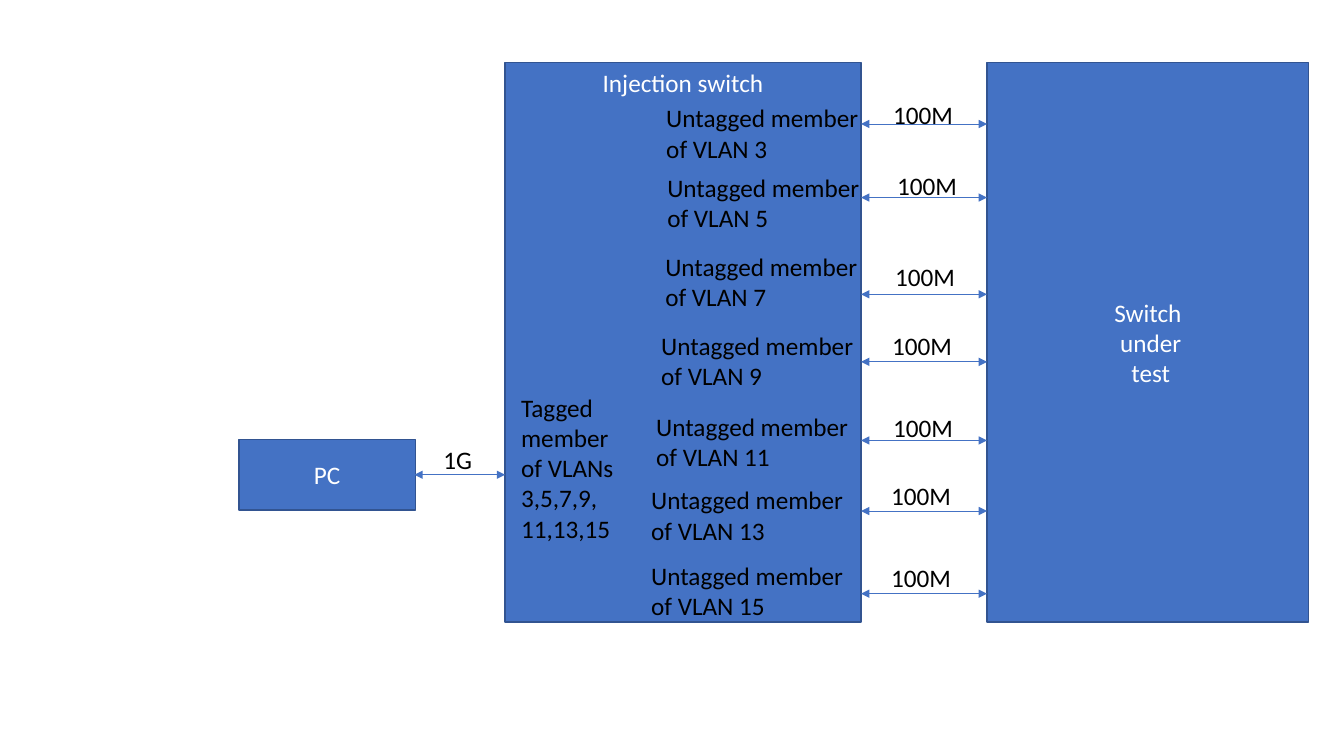
from lxml import etree
from pptx import Presentation
from pptx.dml.color import RGBColor
from pptx.enum.shapes import MSO_CONNECTOR, MSO_SHAPE
from pptx.enum.text import MSO_ANCHOR, MSO_AUTO_SIZE, PP_ALIGN
from pptx.oxml.ns import qn
from pptx.util import Inches, Pt

COLORS = {"fill": "4472C4", "border": "325491", "light": "FFFFFF", "dark": "000000"}
FONT = "Calibri"

# VLAN, member label left and top, link y, speed label left and top
PORTS = [
    (3, 6.51, 0.97, 1.23, 8.76, 0.94),
    (5, 6.52, 1.66, 1.96, 8.8, 1.64),
    (7, 6.5, 2.44, 2.92, 8.78, 2.54),
    (9, 6.46, 3.23, 3.59, 8.75, 3.23),
    (11, 6.41, 4.03, 4.37, 8.76, 4.04),
    (13, 6.36, 4.76, 5.07, 8.74, 4.72),
    (15, 6.36, 5.51, 5.89, 8.74, 5.53),
]


def rgb(name):
    return RGBColor.from_string(COLORS[name])


def write_text(tf, text, color="dark", size=18, align=PP_ALIGN.LEFT,
               anchor=MSO_ANCHOR.TOP, wrap=True):
    tf.word_wrap = wrap
    tf.vertical_anchor = anchor
    p = tf.paragraphs[0]
    p.text = text.replace("\n", "\v")
    p.alignment = align
    for r in p.runs:
        r.font.name = FONT
        r.font.size = Pt(size)
        r.font.color.rgb = rgb(color)


def add_box(slide, left, top, width, height, text, anchor=MSO_ANCHOR.MIDDLE):
    sp = slide.shapes.add_shape(MSO_SHAPE.RECTANGLE, Inches(left), Inches(top),
                                Inches(width), Inches(height))
    sp.shadow.inherit = False
    sp.fill.solid()
    sp.fill.fore_color.rgb = rgb("fill")
    sp.line.color.rgb = rgb("border")
    sp.line.width = Pt(1)
    write_text(sp.text_frame, text, color="light", align=PP_ALIGN.CENTER, anchor=anchor)


def add_label(slide, left, top, width, height, text, wrap=False):
    sp = slide.shapes.add_textbox(Inches(left), Inches(top), Inches(width), Inches(height))
    write_text(sp.text_frame, text, wrap=wrap)
    sp.text_frame.auto_size = MSO_AUTO_SIZE.SHAPE_TO_FIT_TEXT


def add_link(slide, x1, x2, y):
    link = slide.shapes.add_connector(MSO_CONNECTOR.STRAIGHT, Inches(x1), Inches(y),
                                      Inches(x2), Inches(y))
    link.line.color.rgb = rgb("fill")
    link.line.width = Pt(0.5)
    ln = link.line._get_or_add_ln()
    for end in ("a:headEnd", "a:tailEnd"):
        etree.SubElement(ln, qn(end), type="triangle")
    etree.SubElement(link._element.spPr, qn("a:effectLst"))


def main():
    prs = Presentation()
    prs.slide_width, prs.slide_height = Inches(13.33), Inches(7.5)
    slide = prs.slides.add_slide(prs.slide_layouts[6])

    add_box(slide, 5.01, 0.62, 3.53, 5.55, "Injection switch", anchor=MSO_ANCHOR.TOP)
    add_box(slide, 2.37, 4.36, 1.75, 0.7, "PC")
    add_box(slide, 9.79, 0.62, 3.19, 5.55, "Switch\n under\n test")

    add_link(slide, 4.11, 5.01, 4.71)
    add_label(slide, 4.3, 4.36, 0.49, 0.4, "1G")
    add_label(slide, 5.07, 3.84, 1.89, 1.62,
              "Tagged\nmember\nof VLANs\n3,5,7,9,\n11,13,15", wrap=True)

    for vlan, member_x, member_y, link_y, speed_x, speed_y in PORTS:
        add_link(slide, 8.54, 9.79, link_y)
        add_label(slide, speed_x, speed_y, 0.8, 0.4, "100M")
        add_label(slide, member_x, member_y, 2.13, 0.71, f"Untagged member\nof VLAN {vlan}")

    prs.save("out.pptx")


if __name__ == "__main__":
    main()
